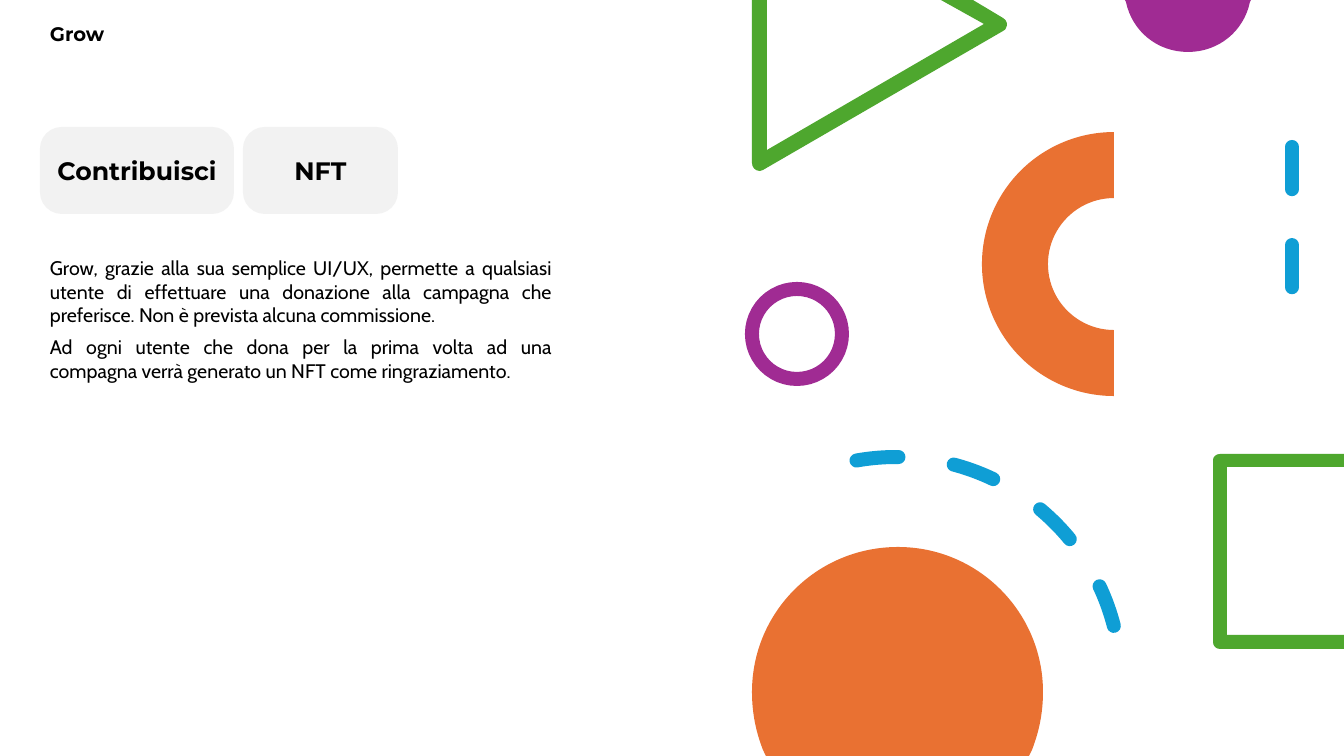
from dataclasses import dataclass
from typing import NamedTuple

from lxml.etree import SubElement
from pptx import Presentation
from pptx.dml.color import RGBColor
from pptx.enum.dml import MSO_LINE_DASH_STYLE as Dash
from pptx.enum.shapes import MSO_CONNECTOR as Connector, MSO_SHAPE as Shape
from pptx.enum.text import MSO_ANCHOR as Anchor, MSO_AUTO_SIZE as AutoSize, PP_ALIGN as Align
from pptx.oxml.ns import qn
from pptx.util import Emu, Pt

PX = 914400 / 100.8


@dataclass(frozen=True)
class Theme:
    purple: str = "A02B93"
    orange: str = "E97132"
    green: str = "4EA72E"
    blue: str = "0F9ED5"
    pill: str = "F2F2F2"
    ink: str = "000000"
    heading: str = "Montserrat"
    body: str = "Cabin"
    body_size: int = 14
    pill_size: int = 18
    stroke: int = 10


THEME = Theme()
Point = tuple[int, int]


class Box(NamedTuple):
    left: int
    top: int
    width: int
    height: int


class Preset(NamedTuple):
    kind: Shape
    box: Box
    fill: str | None = None
    line: str | None = None
    dashed: bool = False
    rotation: float = 0


class Line(NamedTuple):
    end: Point


class Curve(NamedTuple):
    first_control: Point
    second_control: Point
    end: Point


class Outline(NamedTuple):
    fill: str
    start: Point
    segments: list[Line | Curve]


class Pill(NamedTuple):
    label: str
    left: int
    width: int


class TextBlock(NamedTuple):
    box: Box
    paragraphs: list[str]
    para_format: dict
    font_format: dict


def px(n: int) -> Emu:
    return Emu(round(n * PX))


def rgb(color: str) -> RGBColor:
    return RGBColor.from_string(color)


def lines(*points: Point) -> list[Line]:
    return [Line(point) for point in points]


def apply_format(target, values: dict) -> None:
    for name, value in values.items():
        setattr(target, name, value)


def paint(sp, fill: str | None) -> None:
    sp.shadow.inherit = False
    sp.line.fill.background()
    if fill:
        sp.fill.solid()
        sp.fill.fore_color.rgb = rgb(fill)
    else:
        sp.fill.background()


def stroke(sp, color: str, dashed: bool) -> None:
    sp.line.color.rgb = rgb(color)
    sp.line.width = Pt(THEME.stroke)
    if dashed:
        sp.line.dash_style = Dash.DASH
        sp.element.spPr.find(qn("a:ln")).set("cap", "rnd")


def write(tf, paragraphs: list[str], para_format: dict, font_format: dict) -> None:
    tf.word_wrap = True
    for i, text in enumerate(paragraphs):
        p = tf.add_paragraph() if i else tf.paragraphs[0]
        apply_format(p, para_format)
        r = p.add_run()
        r.text = text
        apply_format(r.font, font_format)
        r.font.color.rgb = rgb(THEME.ink)


def draw_preset(shapes, item: Preset) -> None:
    sp = shapes.add_shape(item.kind, *map(px, item.box))
    paint(sp, item.fill)
    if item.line:
        stroke(sp, item.line, item.dashed)
    sp.rotation = item.rotation


def draw_outline(shapes, item: Outline) -> None:
    builder = shapes.build_freeform(*map(px, item.start), scale=1.0)
    points = [(px(x), px(y)) for segment in item.segments for x, y in segment]
    builder.add_line_segments(points, close=True)
    sp = builder.convert_to_shape()
    steps = iter(list(sp.element.iter(qn("a:lnTo"))))
    for segment in item.segments:
        step = next(steps)
        if isinstance(segment, Curve):
            step.tag = qn("a:cubicBezTo")
            for _ in range(2):
                extra = next(steps)
                step.append(extra[0])
                extra.getparent().remove(extra)
    paint(sp, item.fill)


def draw_dashes(shapes, x: int, top: int, bottom: int) -> None:
    sp = shapes.add_connector(Connector.STRAIGHT, px(x), px(top), px(x), px(bottom))
    stroke(sp, THEME.blue, True)
    SubElement(sp.element.spPr, qn("a:effectLst"))


def draw_pill(shapes, item: Pill) -> None:
    sp = shapes.add_shape(Shape.ROUNDED_RECTANGLE, *map(px, (item.left, 127, item.width, 87)))
    sp.adjustments[0] = 0.25
    paint(sp, THEME.pill)
    sp.text_frame.vertical_anchor = Anchor.MIDDLE
    write(sp.text_frame, [item.label], {"alignment": Align.CENTER},
          {"name": THEME.heading, "size": Pt(THEME.pill_size), "bold": True})


def draw_text(shapes, item: TextBlock) -> None:
    tf = shapes.add_textbox(*map(px, item.box)).text_frame
    write(tf, item.paragraphs, item.para_format, item.font_format)
    tf.auto_size = AutoSize.SHAPE_TO_FIT_TEXT


PURPLE_DISC = Outline(THEME.purple, (1125, 0), [
    *lines((1251, 0), (1250, 2)),
    Curve((1244, 31), (1219, 52), (1188, 52)), Curve((1157, 52), (1132, 31), (1126, 2))])
TRIANGLE = Outline(THEME.green, (752, 0), [
    *lines((767, 0), (767, 150), (984, 24), (941, 0), (973, 0), (1003, 18)),
    Curve((1007, 20), (1008, 25), (1006, 28)), Curve((1006, 29), (1005, 30), (1003, 31)),
    *lines((763, 170)),
    Curve((762, 171), (761, 171), (760, 171)), Curve((755, 171), (752, 167), (752, 163))])
SQUARE = Outline(THEME.green, (1220, 454), [
    *lines((1344, 454), (1344, 467), (1227, 467), (1227, 635), (1344, 635), (1344, 649),
           (1220, 649)),
    Curve((1216, 649), (1213, 646), (1213, 642)), *lines((1213, 460)),
    Curve((1213, 457), (1216, 454), (1220, 454))])
ORANGE_DISC = Outline(THEME.orange, (898, 547), [
    Curve((978, 547), (1043, 612), (1043, 692)), Curve((1043, 713), (1039, 732), (1032, 750)),
    *lines((1029, 756), (766, 756), (763, 750)),
    Curve((756, 732), (752, 713), (752, 692)), Curve((752, 612), (817, 547), (898, 547))])

RING = Preset(Shape.OVAL, Box(752, 289, 90, 90), line=THEME.purple)
HALF_RING = Preset(Shape.BLOCK_ARC, Box(982, 132, 264, 264), fill=THEME.orange, rotation=270)
DASHED_ARC = Preset(Shape.ARC, Box(671, 457, 450, 450), line=THEME.blue, dashed=True,
                    rotation=349.9)
TEXTS = [
    TextBlock(
        Box(40, 251, 522, 169),
        ["Grow, grazie alla sua semplice UI/UX, permette a qualsiasi utente di effettuare una "
         "donazione alla campagna che preferisce. Non è prevista alcuna commissione.",
         "Ad ogni utente che dona per la prima volta ad una compagna verrà generato un NFT "
         "come ringraziamento."],
        {"alignment": Align.JUSTIFY, "space_after": Pt(6)},
        {"name": THEME.body, "size": Pt(THEME.body_size)}),
    TextBlock(Box(40, 17, 383, 34), ["Grow"], {},
              {"name": THEME.heading, "size": Pt(THEME.body_size), "bold": True}),
]
PILLS = [Pill("NFT", 243, 155), Pill("Contribuisci", 40, 194)]


def main() -> None:
    prs = Presentation()
    prs.slide_width, prs.slide_height = px(1344), px(756)
    shapes = prs.slides.add_slide(prs.slide_layouts[6]).shapes
    draw_outline(shapes, PURPLE_DISC)
    draw_preset(shapes, RING)
    draw_preset(shapes, HALF_RING)
    draw_outline(shapes, TRIANGLE)
    draw_dashes(shapes, 1292, 147, 323)
    draw_outline(shapes, SQUARE)
    draw_preset(shapes, DASHED_ARC)
    draw_outline(shapes, ORANGE_DISC)
    for block in TEXTS:
        draw_text(shapes, block)
    for pill in PILLS:
        draw_pill(shapes, pill)
    prs.save("out.pptx")


if __name__ == "__main__":
    main()
